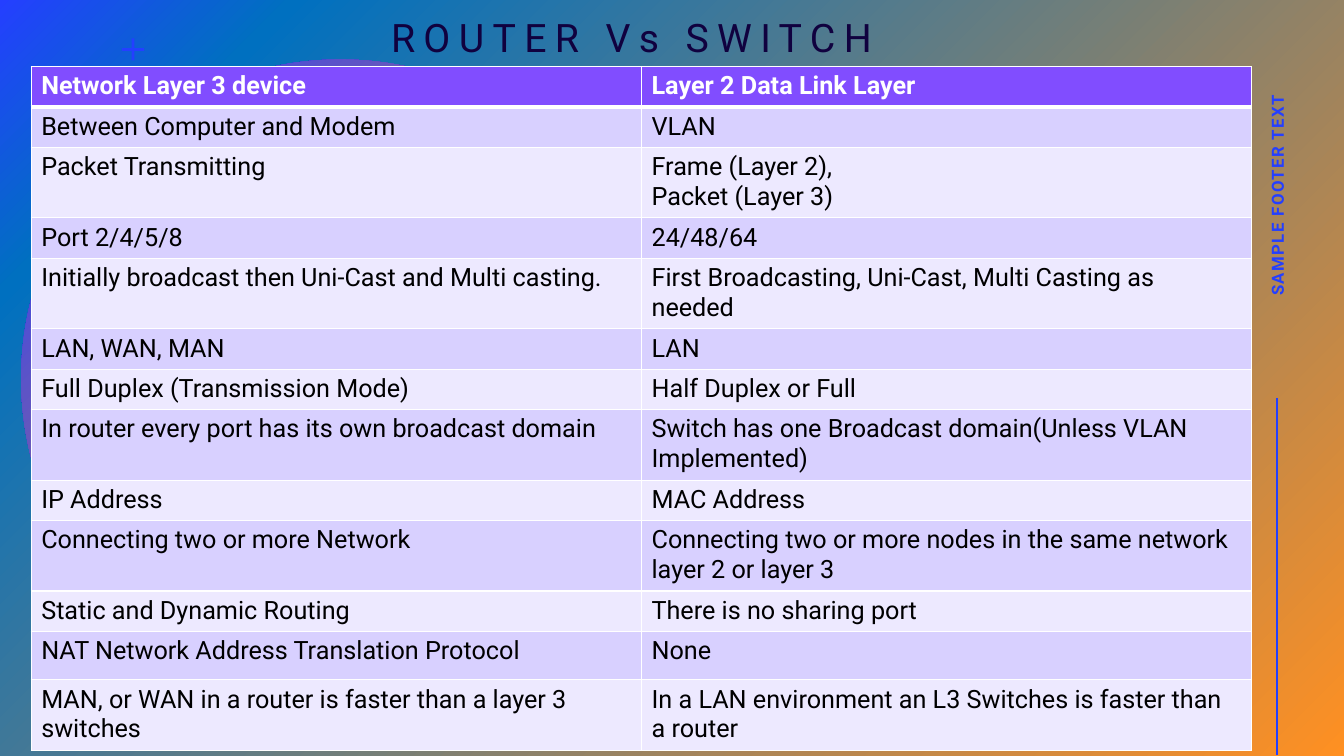
from copy import deepcopy
from dataclasses import dataclass

from lxml.etree import SubElement
from pptx import Presentation
from pptx.dml.color import RGBColor
from pptx.enum.shapes import MSO_CONNECTOR, MSO_SHAPE
from pptx.enum.text import MSO_ANCHOR, MSO_AUTO_SIZE, PP_ALIGN
from pptx.oxml.ns import qn
from pptx.util import Pt


@dataclass(frozen=True)
class Theme:
    font: str = "Roboto"
    blue: str = "243FFF"
    sky: str = "0070C0"
    orange: str = "FF9022"
    navy: str = "10013F"
    header: str = "814DFF"
    bands: tuple = ("D8D0FF", "EDE9FF")
    white: str = "FFFFFF"
    black: str = "000000"
    title_size: int = 28
    table_size: int = 18
    footer_size: int = 12


ROWS = [
    ("Network Layer 3 device", "Layer 2 Data Link Layer"),
    ("Between Computer and Modem", "VLAN"),
    ("Packet Transmitting", "Frame (Layer 2),\nPacket (Layer 3)"),
    ("Port 2/4/5/8", "24/48/64"),
    ("Initially broadcast then Uni-Cast and Multi casting.",
     "First Broadcasting, Uni-Cast, Multi Casting as needed"),
    ("LAN, WAN, MAN", "LAN"),
    ("Full Duplex (Transmission Mode)", "Half Duplex or Full"),
    ("In router every port has its own broadcast domain",
     "Switch has one Broadcast domain(Unless VLAN Implemented)"),
    ("IP Address", "MAC Address"),
    ("Connecting two or more Network",
     "Connecting two or more nodes in the same network layer 2 or layer 3"),
    ("Static and Dynamic Routing", "There is no sharing port"),
    ("NAT Network Address Translation Protocol", "None"),
    ("MAN, or WAN in a router is faster than a layer 3 switches",
     "In a LAN environment an L3 Switches is faster than a router"),
]
ONE_LINE, NAT_LINE, TWO_LINES = 28.8, 34.6, 50.4
ROW_HEIGHTS = [ONE_LINE, ONE_LINE, TWO_LINES, ONE_LINE, TWO_LINES, ONE_LINE, ONE_LINE,
               TWO_LINES, ONE_LINE, TWO_LINES, ONE_LINE, NAT_LINE, TWO_LINES]


class SlideBuilder:
    def __init__(self, slide, theme):
        self.slide = slide
        self.shapes = slide.shapes
        self.theme = theme

    def gradient(self, fill, stops):
        """Fill from top left to bottom right with (position, colour) stops."""
        fill.gradient()
        fill.gradient_angle = 315
        gs_list = fill.gradient_stops[0]._gs.getparent()
        while len(gs_list) < len(stops):
            gs_list.append(deepcopy(gs_list[-1]))
        for stop, (position, color) in zip(fill.gradient_stops, stops):
            stop.position = position
            stop.color.rgb = RGBColor.from_string(color)

    def background(self, stops):
        self.gradient(self.slide.background.fill, stops)

    def shape(self, kind, x, y, w, h):
        sp = self.shapes.add_shape(kind, Pt(x), Pt(y), Pt(w), Pt(h))
        sp.shadow.inherit = False
        sp.line.fill.background()
        return sp

    def circle(self, x, y, size, stops):
        self.gradient(self.shape(MSO_SHAPE.OVAL, x, y, size, size).fill, stops)

    def plus(self, x, y, size, thickness, color):
        sp = self.shape(MSO_SHAPE.CROSS, x, y, size, size)
        sp.adjustments[0] = (size - thickness) / 2 / size
        sp.fill.solid()
        sp.fill.fore_color.rgb = RGBColor.from_string(color)

    def line(self, x1, y1, x2, y2, color, width):
        cxn = self.shapes.add_connector(MSO_CONNECTOR.STRAIGHT, Pt(x1), Pt(y1), Pt(x2), Pt(y2))
        cxn.line.color.rgb = RGBColor.from_string(color)
        cxn.line.width = Pt(width)
        SubElement(cxn._element.spPr, qn("a:effectLst"))

    def style_text(self, tf, size, color, bold=False, spacing=0):
        for p in tf.paragraphs:
            for r in p.runs:
                r.font.name = self.theme.font
                r.font.size = Pt(size)
                r.font.bold = bold
                r.font.color.rgb = RGBColor.from_string(color)
                if spacing:
                    r.font._element.set("spc", str(spacing * 100))

    def text(self, text, x, y, w, h, size, color, bold=False, spacing=0):
        sp = self.shapes.add_textbox(Pt(x), Pt(y), Pt(w), Pt(h))
        sp.text_frame.text = text
        self.style_text(sp.text_frame, size, color, bold, spacing)
        return sp

    def borders(self, cell, widths):
        """Draw white cell edges; widths maps the edge tag to points."""
        tc_pr = cell._tc.get_or_add_tcPr()
        for tag, width in widths.items():
            ln = SubElement(tc_pr, qn(f"a:{tag}"), w=str(Pt(width)))
            SubElement(SubElement(ln, qn("a:solidFill")), qn("a:srgbClr"), val=self.theme.white)

    def table(self, rows, heights, x, y, w):
        t = self.theme
        frame = self.shapes.add_table(len(rows), len(rows[0]), Pt(x), Pt(y), Pt(w), Pt(sum(heights)))
        table = frame.table
        table.horz_banding = False
        for i, (texts, height) in enumerate(zip(rows, heights)):
            table.rows[i].height = Pt(height)
            is_header = i == 0
            for j, text in enumerate(texts):
                cell = table.cell(i, j)
                self.borders(cell, {"lnL": 1, "lnR": 1, "lnT": 3 if i == 1 else 1,
                                    "lnB": 3 if is_header else 1})
                cell.fill.solid()
                band = t.header if is_header else t.bands[(i - 1) % 2]
                cell.fill.fore_color.rgb = RGBColor.from_string(band)
                cell.text_frame.text = text
                self.style_text(cell.text_frame, t.table_size,
                                t.white if is_header else t.black, is_header)


def main():
    prs = Presentation()
    prs.slide_width, prs.slide_height = Pt(960), Pt(540)
    theme = Theme()
    s = SlideBuilder(prs.slides.add_slide(prs.slide_layouts[6]), theme)

    s.background([(0, theme.blue), (0.14, theme.sky), (1, theme.orange)])
    s.line(912.2, 284.4, 912.2, 539.3, theme.blue, 2)
    s.circle(15.1, 42.5, 455.8, [(0, theme.blue), (1, theme.orange)])
    s.plus(87.1, 27.4, 15.8, 2, theme.blue)

    footer = s.text("SAMPLE FOOTER TEXT", 772.6, 125.3, 279.4, 28.8,
                    theme.footer_size, theme.blue, bold=True, spacing=1)
    footer.rotation = 270
    footer.text_frame.word_wrap = True
    footer.text_frame.vertical_anchor = MSO_ANCHOR.MIDDLE
    footer.text_frame.paragraphs[0].alignment = PP_ALIGN.CENTER

    title = s.text("ROUTER Vs SWITCH", 272.2, 5.8, 387.4, 41,
                   theme.title_size, theme.navy, spacing=6)
    title.text_frame.word_wrap = False
    title.text_frame.auto_size = MSO_AUTO_SIZE.SHAPE_TO_FIT_TEXT

    s.table(ROWS, ROW_HEIGHTS, 22.3, 47.5, 871.9)
    prs.save("out.pptx")


if __name__ == "__main__":
    main()
